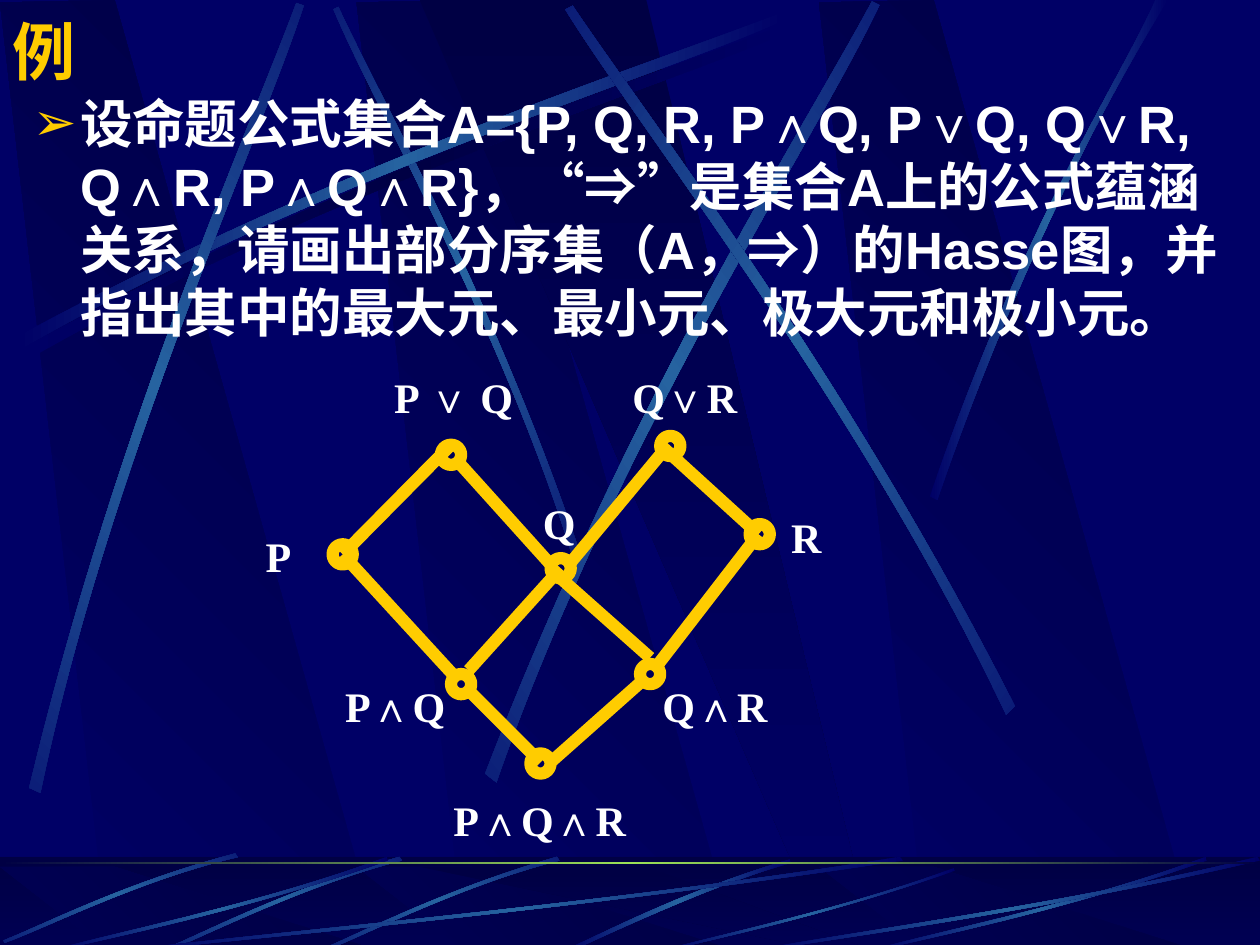
from math import cos, radians, sin
from lxml.etree import SubElement as Sub
from pptx import Presentation
from pptx.dml.color import RGBColor as RGB
from pptx.enum.shapes import MSO_CONNECTOR as Conn, MSO_SHAPE as Kind
from pptx.enum.text import MSO_ANCHOR as Anchor, MSO_AUTO_SIZE as Auto, PP_ALIGN as Align
from pptx.oxml import parse_xml
from pptx.oxml.ns import nsdecls, qn
from pptx.util import Inches, Pt

NAVY, DARK, BLUE, GREEN = "000066", "000044", "2663A0", "9CE157"
GOLD, WHITE = "FFCC00", "FFFFFF"
GLOW = (NAVY, BLUE, NAVY)
SHADE = (NAVY, DARK, NAVY)
TASK = ("设命题公式集合A={P, Q, R, P∧Q, P∨Q, Q∨R, Q∧R, P∧Q∧R}，“⇒”是集合A上的公式蕴涵关系，"
        "请画出部分序集（A，⇒）的Hasse图，并指出其中的最大元、最小元、极大元和极小元。")

LONG = [(0.14, 2.67), (2.78, 1.25), (5.18, 0.51), (6.2, 0.1),
        (6.23, 0.16), (5.22, 0.61), (2.48, 1.43), (0.17, 2.77)]
TALL = [
    ([(0.23, 6.25), (0.93, 3.34), (1.97, 1.05), (2.35, 0.02),
      (2.41, 0.04), (2.07, 1.09), (0.86, 3.68), (0.32, 6.29)], 311.7, (1.33, 3.16)),
    ([(3.85, 6.14), (4.98, 3.2), (6.38, 1.02), (6.92, 0.01),
      (6.98, 0.04), (6.49, 1.08), (4.86, 3.55), (3.94, 6.21)], 321.6, (5.43, 3.11)),
    ([(8.06, 5.6), (6.7, 2.93), (5.16, 0.95), (4.55, 0.04),
      (4.49, 0.07), (5.07, 1.01), (6.85, 3.25), (7.99, 5.67)], 34.7, (6.27, 2.86)),
    ([(7.38, 3.94), (8.14, 1.73), (8.88, 0.66), (9.17, 0),
      (9.27, 0), (8.36, 1.45), (7.69, 3.22), (7.44, 3.97)], 0, (0, 0)),
]
STEEP = [(4.6, 4.36), (3.91, 2.34), (3.02, 0.77), (2.69, 0.05),
         (2.65, 0.07), (2.95, 0.79), (3.98, 2.58), (4.54, 4.39)]
SLANT = [(4.42, 6.8), (3.55, 7.05), (2.87, 7.4), (2.56, 7.53),
         (2.57, 7.55), (2.88, 7.43), (3.65, 7.03), (4.44, 6.83)]
EDGE = [(1.86, 6.77), (0.99, 7), (0.33, 7.34), (0.02, 7.46),
        (0.03, 7.48), (0.34, 7.37), (1.1, 6.98), (1.88, 6.8)]
SHORT = [(3.08, 6.83), (1.93, 7.23), (0.88, 7.44), (0.43, 7.55),
         (0.42, 7.54), (0.86, 7.41), (2.06, 7.18), (3.07, 6.8)]
LOW = [
    [(6.27, 6.82), (5.37, 7.09), (4.77, 7.42), (4.48, 7.54),
     (4.53, 7.55), (4.9, 7.38), (5.71, 7), (6.28, 6.85)],
    [(7.17, 6.83), (4.49, 7.23), (2.06, 7.44), (1.03, 7.55),
     (1, 7.54), (2.02, 7.41), (4.8, 7.18), (7.14, 6.8)],
    [(7.58, 6.91), (6.58, 7.26), (5.67, 7.45), (5.28, 7.55),
     (5.27, 7.54), (5.65, 7.43), (6.69, 7.22), (7.57, 6.89)],
    [(10, 6.83), (8.27, 7.23), (6.69, 7.44), (6.02, 7.55),
     (6, 7.54), (6.66, 7.41), (8.46, 7.18), (9.98, 6.8)],
]
NODES = [(3.66, 5.43), (5.16, 5.35), (4.45, 4.51), (2.72, 4.4),
         (3.58, 3.61), (6.03, 4.24), (5.32, 3.54), (4.29, 6.06)]
LINKS = [
    (3.72, 5.32, 4.45, 4.51), (5.16, 5.22, 4.45, 4.59), (4.29, 6.05, 3.74, 5.5),
    (4.37, 6.05, 5.08, 5.42), (4.37, 4.48, 3.64, 3.67), (3.61, 5.37, 2.72, 4.4),
    (2.72, 4.4, 3.58, 3.53), (4.5, 4.5, 5.24, 3.61), (5.21, 5.29, 6.02, 4.24),
    (6.02, 4.24, 5.24, 3.53),
]
LABELS = [
    ("P∧Q∧R", 3.5, 6.26, 1.58), ("P∧Q", 2.64, 5.35, 1.02), ("Q∧R", 5.16, 5.35, 1.26),
    ("R", 6.18, 4.01, 0.55), ("Q", 4.21, 3.9, 0.55), ("P", 2.01, 4.16, 0.55),
    ("P ∨ Q", 3.03, 2.9, 1.18), ("Q∨R", 4.92, 2.9, 1.18),
]


def color(code):
    return RGB.from_string(code)


def blend(shape, tints, angle=0):
    shape.shadow.inherit = False
    shape.line.fill.background()
    shape.fill.solid()
    step = 100000 // (len(tints) - 1)
    stops = "".join(f'<a:gs pos="{i * step}"><a:srgbClr val="{tint}"/></a:gs>'
                    for i, tint in enumerate(tints))
    grad = parse_xml(f'<a:gradFill {nsdecls("a")} rotWithShape="1"><a:gsLst>{stops}</a:gsLst>'
                     f'<a:lin ang="{angle * 60000}" scaled="0"/></a:gradFill>')
    props = shape._element.spPr
    props.replace(props.find(qn("a:solidFill")), grad)


def outline(slide, points, tints, angle=0):
    spots = [(Inches(x), Inches(y)) for x, y in points]
    build = slide.shapes.build_freeform(*spots[0], scale=1.0)
    build.add_line_segments(spots[1:], close=True)
    shape = build.convert_to_shape()
    blend(shape, tints, angle)
    return shape


def bend(shape):
    lines = list(shape._element.spPr.iter(qn("a:lnTo")))
    for first in (0, 4):
        trio = lines[first:first + 3]
        arc = parse_xml(f'<a:cubicBezTo {nsdecls("a")}/>')
        trio[0].addprevious(arc)
        for line in trio:
            arc.append(line[0])
            line.getparent().remove(line)


def turn(point, angle, mid):
    x, y = point[0] - mid[0], point[1] - mid[1]
    c, s = cos(radians(angle)), sin(radians(angle))
    return mid[0] + x * c - y * s, mid[1] + x * s + y * c


def beam(slide, ends, angle=0, mid=(0, 0), shift=(0, 0), tints=GLOW):
    points = [turn(p, -angle, mid) for p in ends]
    shape = outline(slide, [(x + shift[0], y + shift[1]) for x, y in points], tints)
    bend(shape)
    shape.rotation = angle


def panels(slide, top, base, dip):
    for x in (2.83, 0, 6.5):
        outline(slide, [(x + 0.86, base - dip), (x + 3.02, base), (x + 0.91, top),
                        (x, top + dip)], (NAVY, DARK), 315)
    outline(slide, [(3.33, top), (6.58, base), (6.94, base), (5.13, top)], (DARK, NAVY), 90)


def band(slide, top, height):
    return slide.shapes.add_shape(Kind.RECTANGLE, 0, Inches(top), Inches(10), Inches(height))


def backdrop(slide):
    slide.background.fill.solid()
    slide.background.fill.fore_color.rgb = color(NAVY)
    panels(slide, 0, 7.52, 0.02)
    beam(slide, LONG, shift=(0.06, 0.08), tints=SHADE)
    beam(slide, STEEP, 45, (3.62, 2.23))
    beam(slide, LONG)
    for ends, angle, mid in TALL:
        beam(slide, ends, angle, mid)
    blend(band(slide, 6.8, 0.75), (DARK, NAVY), 90)
    panels(slide, 6.88, 7.55, 0)
    veil = band(slide, 6.8, 0.75)
    veil.shadow.inherit = False
    veil.line.fill.background()
    veil.fill.solid()
    veil.fill.fore_color.rgb = color(DARK)
    tint = veil._element.spPr.find(".//" + qn("a:srgbClr"))
    Sub(tint, qn("a:alpha"), val="50000")
    beam(slide, LOW[0])
    for x in (0, -1.25):
        beam(slide, SLANT, 315, (3.5, 7.18), (x, 0))
    beam(slide, EDGE, 315, (0.95, 7.14))
    for x in (0, 6.5):
        beam(slide, SHORT, shift=(x, 0))
    for ends in LOW[1:]:
        beam(slide, ends)
    blend(band(slide, 6.84, 0.02), (DARK, GREEN, DARK))


def write(para, text, size, font, tint):
    run = para.add_run()
    run.text = text
    run.font.size = Pt(size)
    run.font.name = font
    run.font.bold = True
    run.font.color.rgb = color(tint)


def place(slide, shape, left, top, width, height):
    shape.left, shape.top = Inches(left), Inches(top)
    shape.width, shape.height = Inches(width), Inches(height)
    slide.shapes._spTree.append(shape._element)


def title(slide):
    shape = slide.shapes.title
    place(slide, shape, 0, 0.04, 9, 0.71)
    frame = shape.text_frame
    frame.vertical_anchor = Anchor.MIDDLE
    frame.auto_size = Auto.SHAPE_TO_FIT_TEXT
    para = frame.paragraphs[0]
    para.alignment = Align.LEFT
    write(para, "例", 36, "Montserrat", GOLD)


def body(slide):
    shape = slide.placeholders[1]
    place(slide, shape, 0.16, 0.67, 9.67, 6.31)
    shape.text_frame.auto_size = Auto.NONE
    para = shape.text_frame.paragraphs[0]
    props = para._p.get_or_add_pPr()
    props.set("marL", str(Pt(27)))
    props.set("indent", str(Pt(-27)))
    props.set("hangingPunct", "0")
    Sub(Sub(props, qn("a:buClr")), qn("a:srgbClr"), val=GOLD)
    Sub(props, qn("a:buChar"), char="➢")
    write(para, TASK, 30, "Arial", WHITE)


def stroke(shape):
    shape.line.color.rgb = color(GOLD)
    shape.line.width = Pt(7)


def node(slide, x, y):
    size = 0.16
    shape = slide.shapes.add_shape(Kind.OVAL, Inches(x - size / 2), Inches(y - size / 2),
                                   Inches(size), Inches(size))
    shape.shadow.inherit = False
    shape.fill.background()
    stroke(shape)


def link(slide, *ends):
    line = slide.shapes.add_connector(Conn.STRAIGHT, *map(Inches, ends))
    stroke(line)
    Sub(line._element.spPr, qn("a:effectLst"))


def label(slide, text, left, top, width):
    box = slide.shapes.add_textbox(Inches(left), Inches(top), Inches(width), Inches(0.5))
    frame = box.text_frame
    frame.word_wrap = True
    frame.auto_size = Auto.SHAPE_TO_FIT_TEXT
    write(frame.paragraphs[0], text, 24, "Times New Roman", WHITE)


def main():
    deck = Presentation()
    deck.slide_width, deck.slide_height = Inches(10), Inches(7.5)
    slide = deck.slides.add_slide(deck.slide_layouts[1])
    backdrop(slide)
    body(slide)
    for draw, items in ((link, LINKS), (node, NODES), (label, LABELS)):
        for item in items:
            draw(slide, *item)
    title(slide)
    deck.save("out.pptx")


if __name__ == "__main__":
    main()
